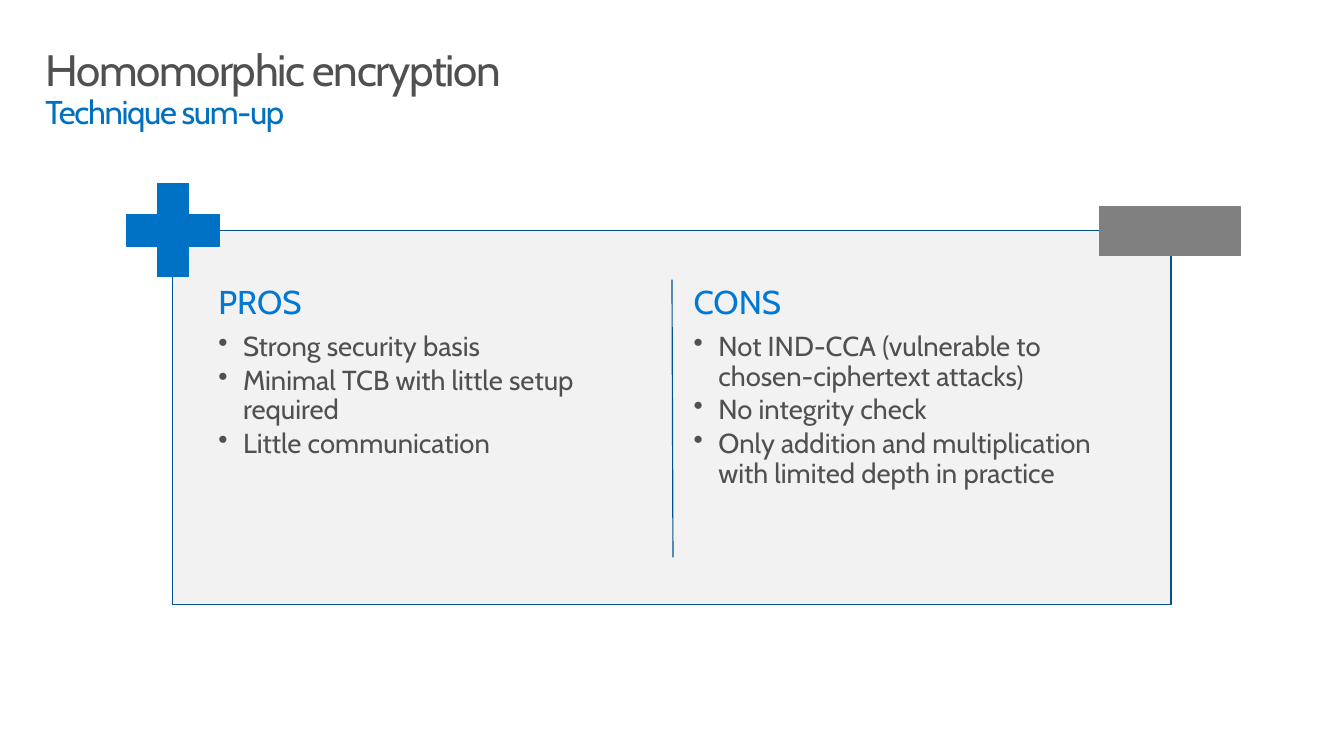
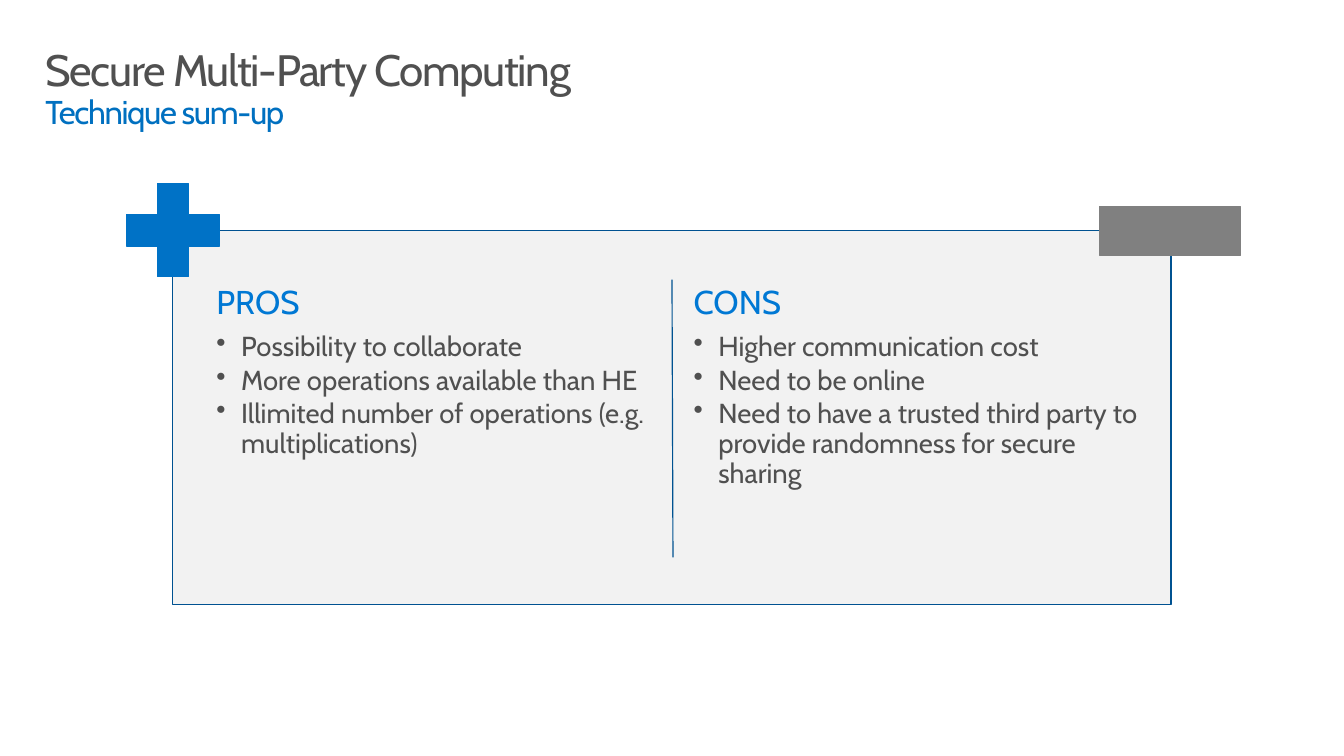
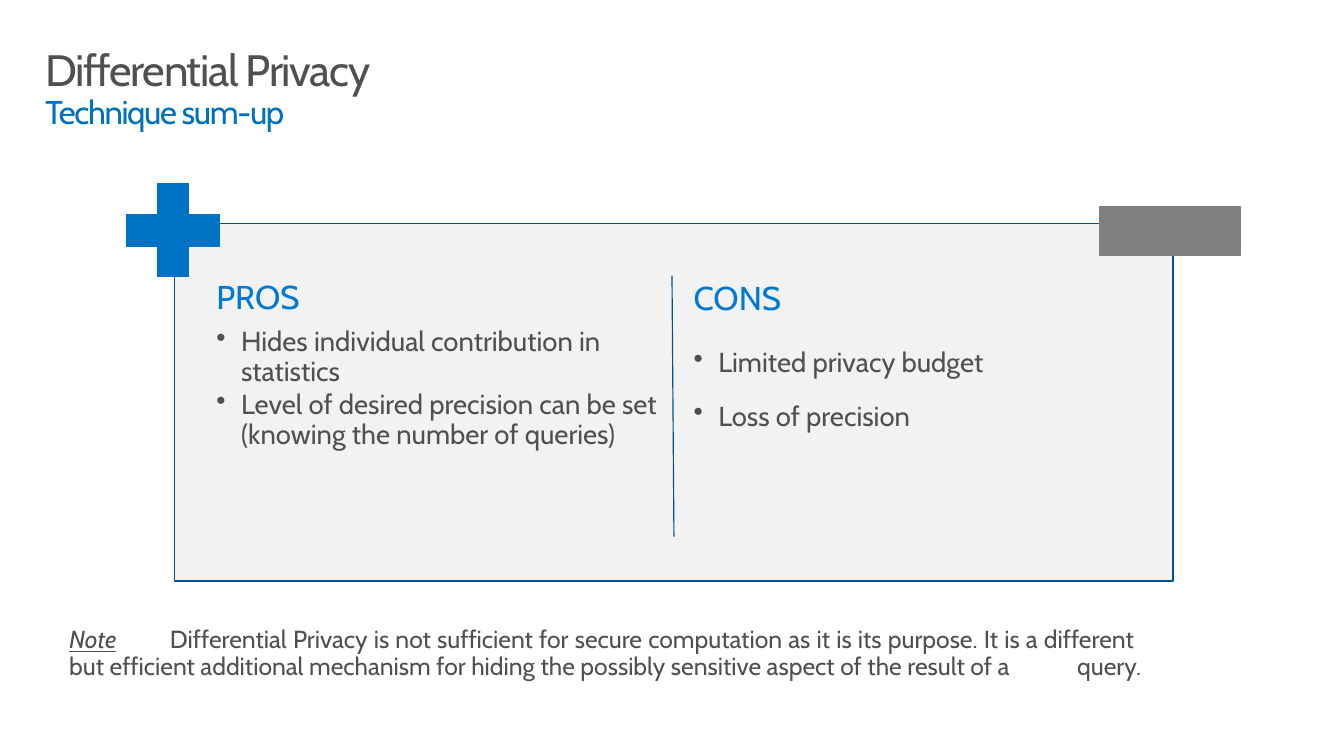
from dataclasses import dataclass

from lxml import etree
from pptx import Presentation
from pptx import util as u
from pptx.dml.color import RGBColor
from pptx.enum import shapes, text
from pptx.oxml.ns import qn


@dataclass(frozen=True)
class Theme:
    face: str = "Cabin"
    ink: str = "505050"
    sub: str = "0070C0"
    head: str = "0078D4"
    edge: str = "005291"
    panel: str = "F2F2F2"
    plus: str = "0072C6"
    minus: str = "808080"
    title: int = 32
    large: int = 24
    body: int = 20
    small: int = 18
    stroke: float = 0.85


T = Theme()
WIDE, HIGH = u.Inches(13.6), u.Inches(7.65)
COLS, ROWS = 136, 76.5
RIGHT = 67.9
TAB = 10.2
BASE = {"left": 17.5, "top": 23.3, "high": 37.9, "pros": (21.3, 28.3),
        "cons": (69.6, 28.3), "rule": (68, 28.3, 68.1, 56.4), "lead": 0.9}
LOW = BASE | {"left": 17.7, "top": 22.6, "high": 36.2, "pros": (21.3, 27.8),
              "cons": (69.6, 27.9), "rule": (68, 27.9, 68.2, 54.3), "lead": 1.5}
DECK = [
    ("Homomorphic encryption", BASE | {"pros": (21.5, 28.3)},
     ["Strong security basis", "Minimal TCB with little setup required",
      "Little communication"],
     ["Not IND-CCA (vulnerable to chosen-ciphertext attacks)", "No integrity check",
      "Only addition and multiplication with limited depth in practice"], None),
    ("Secure Multi-Party Computing", BASE,
     ["Possibility to collaborate", "More operations available than HE",
      "Illimited number of operations (e.g. multiplications)"],
     ["Higher communication cost", "Need to be online",
      "Need to have a trusted third party to provide randomness for secure sharing"],
     None),
    ("Differential Privacy", LOW,
     ["Hides individual contribution in statistics",
      "Level of desired precision can be set (knowing the number of queries)"],
     ["Limited privacy budget", "Loss of precision"],
     "Differential Privacy is not sufficient for secure computation as it is its "
     "purpose. It is a different \tbut efficient additional mechanism for hiding "
     "the possibly sensitive aspect of the result of a \tquery."),
]


def col(n):
    return round(WIDE * n / COLS)


def row(n):
    return round(HIGH * n / ROWS)


def area(left, top, wide, high):
    return col(left), row(top), col(wide), row(high)


def style(item, form):
    for key, value in form.items():
        setattr(item, key, value)


def tint(hue):
    return RGBColor.from_string(hue)


def stroke(line, hue):
    line.color.rgb = tint(hue)
    line.width = u.Pt(T.stroke)


def write(par, words, size, hue, **form):
    run = par.add_run()
    run.text = words
    style(run.font, {"name": T.face, "size": u.Pt(size)} | form)
    run.font.color.rgb = tint(hue)
    return run


def frame(slide, place, padx, pady):
    body = slide.shapes.add_textbox(*area(*place)).text_frame
    style(body, {"word_wrap": True, "vertical_anchor": text.MSO_ANCHOR.TOP,
                 "margin_left": col(padx), "margin_right": col(padx),
                 "margin_top": row(pady), "margin_bottom": row(pady)})
    body.paragraphs[0].line_spacing = 0.9
    return body


def block(slide, kind, place, fill, edge):
    shape = slide.shapes.add_shape(kind, *area(*place))
    shape.shadow.inherit = False
    shape.fill.solid()
    shape.fill.fore_color.rgb = tint(fill)
    stroke(shape.line, edge)
    return shape


def title(slide, name):
    par = frame(slide, (3, 3.9, 130, 10.2), 1.6, 1).paragraphs[0]
    first = write(par, name, T.title, T.ink)
    par.add_line_break()
    second = write(par, "Technique sum-up", T.large, T.sub)
    for run in (first, second):
        run.font._element.set("spc", "-100")


def points(slide, spot, head, items, lead):
    left, top = spot
    edge = RIGHT if left < RIGHT else 116
    body = frame(slide, (left, top, edge - left, 37.9), 0.6, 0.6)
    first = body.paragraphs[0]
    first.space_after = u.Pt(T.large * 0.35)
    write(first, head, T.large, T.head)
    for item in items:
        par = body.add_paragraph()
        style(par, {"line_spacing": lead, "space_after": u.Pt(T.body * 0.15)})
        write(par, item, T.body, T.ink)
        prop = par._p.get_or_add_pPr()
        prop.set("marL", str(col(2.5)))
        prop.set("indent", str(-col(2.5)))
        etree.SubElement(prop, qn("a:buChar"), char="•")


def rule(slide, ends):
    left, top, right, low = ends
    line = slide.shapes.add_connector(shapes.MSO_CONNECTOR.STRAIGHT,
                                      col(left), row(top), col(right), row(low))
    stroke(line.line, T.edge)
    etree.SubElement(line._element.spPr, qn("a:effectLst"))


def remark(slide, words):
    par = frame(slide, (5, 61.9, 117.3, 11.4), 2, 1.6).paragraphs[0]
    style(par, {"alignment": text.PP_ALIGN.JUSTIFY, "space_after": u.Pt(6)})
    write(par, "Note", T.small, T.ink, italic=True, underline=True)
    write(par, "\t" + words, T.small, T.ink)
    stops = etree.SubElement(par._p.get_or_add_pPr(), qn("a:tabLst"))
    for step in range(1, 12):
        etree.SubElement(stops, qn("a:tab"), pos=str(col(TAB * step)), algn="l")


def signs(slide):
    kind = shapes.MSO_SHAPE
    plus = block(slide, kind.CROSS, (12.8, 18.6, 9.4, 9.4), T.plus, T.plus)
    plus.adjustments[0] = 0.33
    block(slide, kind.RECTANGLE, (111.3, 20.9, 14.2, 5), T.minus, T.minus)


def main():
    deck = Presentation()
    style(deck, {"slide_width": WIDE, "slide_height": HIGH})
    for name, plan, pros, cons, note in DECK:
        slide = deck.slides.add_slide(deck.slide_layouts[6])
        title(slide, name)
        block(slide, shapes.MSO_SHAPE.RECTANGLE,
              (plan["left"], plan["top"], 101, plan["high"]), T.panel, T.edge)
        points(slide, plan["pros"], "PROS", pros, 0.9)
        points(slide, plan["cons"], "CONS", cons, plan["lead"])
        rule(slide, plan["rule"])
        if note:
            remark(slide, note)
        signs(slide)
    deck.save("out.pptx")


if __name__ == "__main__":
    main()
